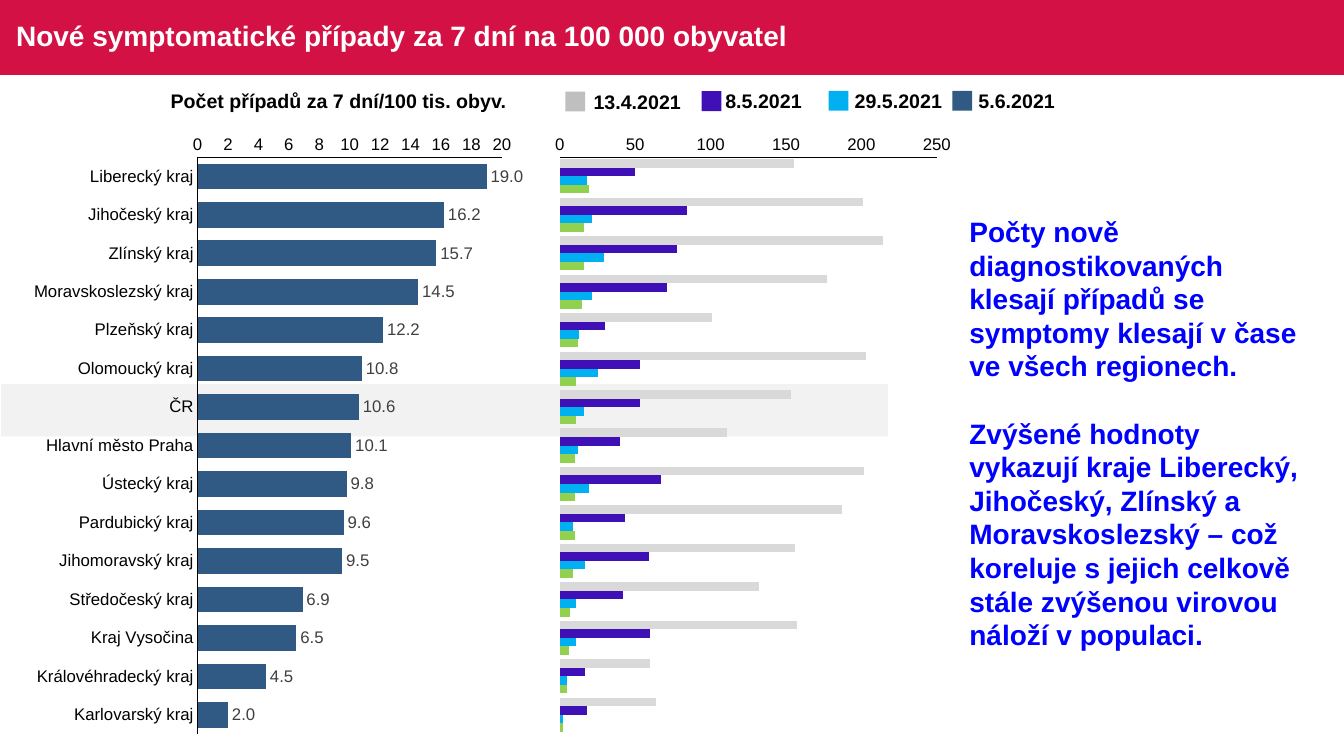
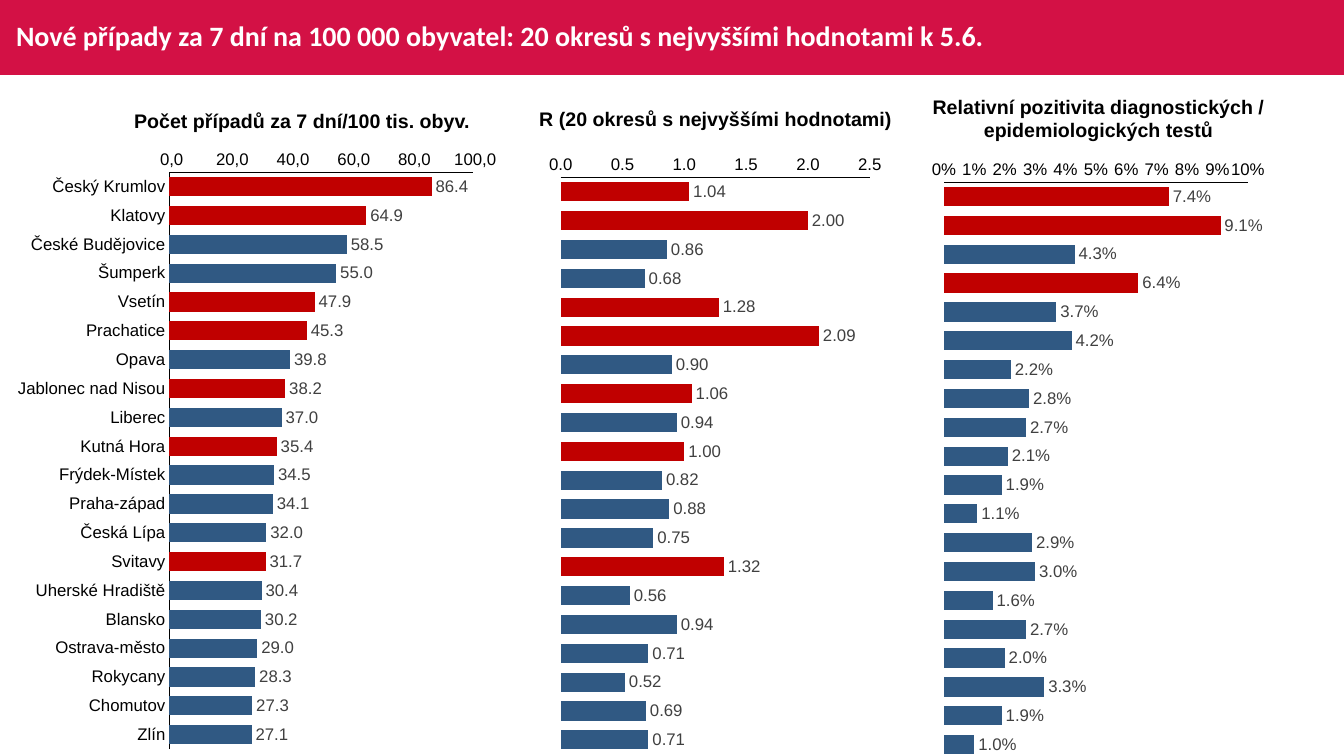
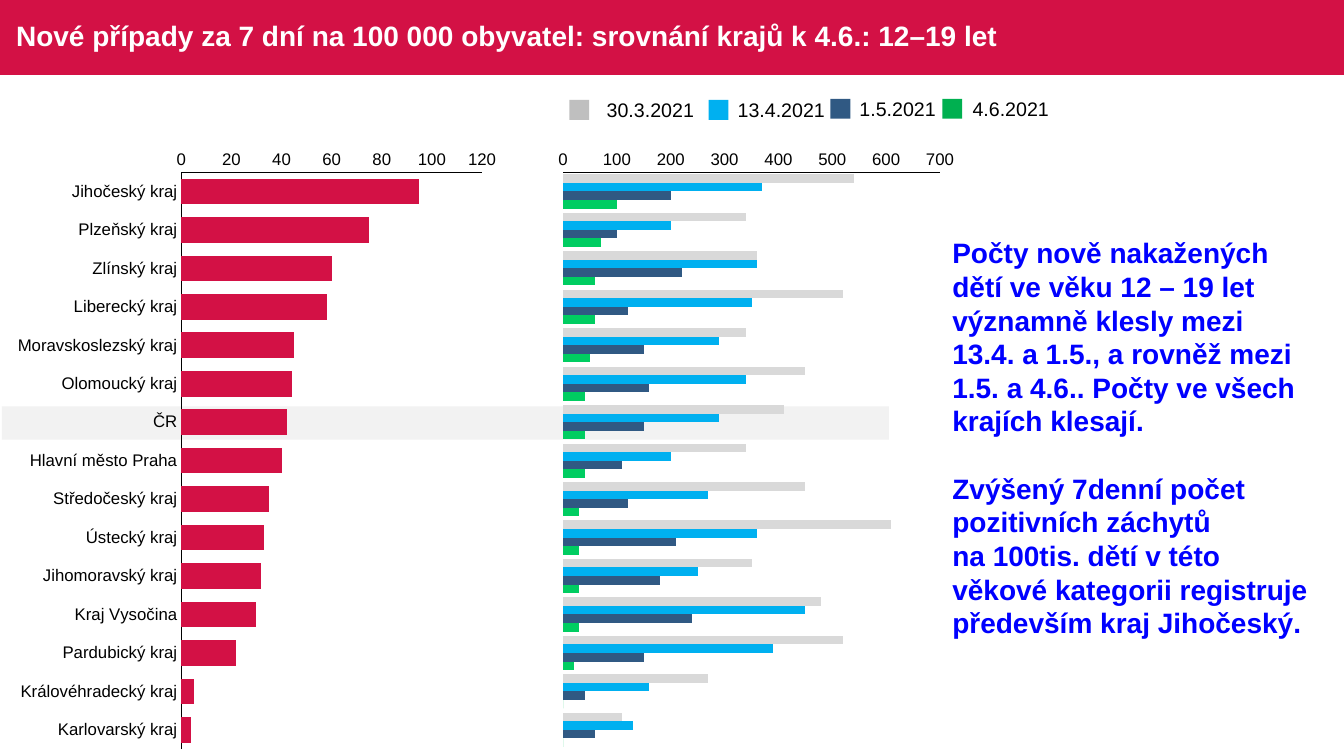
from lxml import etree
from pptx import Presentation
from pptx.chart.data import CategoryChartData
from pptx.dml.color import RGBColor
from pptx.enum.chart import XL_CHART_TYPE, XL_LABEL_POSITION, XL_TICK_MARK
from pptx.enum.shapes import MSO_SHAPE, PP_PLACEHOLDER
from pptx.enum.text import MSO_ANCHOR, MSO_AUTO_SIZE, PP_ALIGN
from pptx.oxml import parse_xml
from pptx.oxml.ns import nsdecls, qn
from pptx.util import Cm, Pt

BAR_CLUSTERED = XL_CHART_TYPE.BAR_CLUSTERED
OUTSIDE_END = XL_LABEL_POSITION.OUTSIDE_END
NO_TICK = XL_TICK_MARK.NONE
RECTANGLE = MSO_SHAPE.RECTANGLE
TITLE = PP_PLACEHOLDER.TITLE
MIDDLE = MSO_ANCHOR.MIDDLE
LEFT, CENTER = PP_ALIGN.LEFT, PP_ALIGN.CENTER
NO_AUTOFIT, GROW = MSO_AUTO_SIZE.NONE, MSO_AUTO_SIZE.SHAPE_TO_FIT_TEXT

# Shared look
CRIMSON, NAVY, RED, SKY, VIOLET = "D31145", "305983", "C00000", "00B0F0", "4010B7"
LIGHT_GREY, GREY, PALE, DARK_GREY = "D9D9D9", "BFBFBF", "F2F2F2", "404040"
LIME, GREEN, BRIGHT_GREEN = "92D050", "00B050", "00CD61"
BLUE, BLACK, WHITE = "0000FF", "000000", "FFFFFF"
FONT = "Arial"
BAND_HEIGHT = 1.89
CHART_HEIGHT, PLOT_TOP, PLOT_HEIGHT = 15.72, 0.86, 14.54
SWATCH = 0.5

# Data
SYMPTOMATIC_REGIONS = [
    "Liberecký kraj", "Jihočeský kraj", "Zlínský kraj", "Moravskoslezský kraj",
    "Plzeňský kraj", "Olomoucký kraj", "ČR", "Hlavní město Praha", "Ústecký kraj",
    "Pardubický kraj", "Jihomoravský kraj", "Středočeský kraj", "Kraj Vysočina",
    "Královéhradecký kraj", "Karlovarský kraj"]
SYMPTOMATIC_CURRENT = [19, 16.2, 15.7, 14.5, 12.2, 10.8, 10.6, 10.1, 9.8, 9.6,
                       9.5, 6.9, 6.5, 4.5, 2]
SYMPTOMATIC_HISTORY = [
    (LIGHT_GREY, [155, 201, 214, 177, 101, 203, 153, 111, 202, 187, 156, 132, 157, 60, 64]),
    (VIOLET, [50, 84, 78, 71, 30, 53, 53, 40, 67, 43, 59, 42, 60, 17, 18]),
    (SKY, [18, 21, 29, 21, 13, 25, 16, 12, 19, 9, 17, 11, 11, 5, 2]),
    (LIME, [19, 16, 16, 15, 12, 11, 11, 10, 10, 10, 9, 7, 6, 5, 2])]

DISTRICTS = [
    "Český Krumlov", "Klatovy", "České Budějovice", "Šumperk", "Vsetín", "Prachatice",
    "Opava", "Jablonec nad Nisou", "Liberec", "Kutná Hora", "Frýdek-Místek",
    "Praha-západ", "Česká Lípa", "Svitavy", "Uherské Hradiště", "Blansko",
    "Ostrava-město", "Rokycany", "Chomutov", "Zlín"]
DISTRICT_CASES = [86.4, 64.9, 58.5, 55, 47.9, 45.3, 39.8, 38.2, 37, 35.4,
                  34.5, 34.1, 32, 31.7, 30.4, 30.2, 29, 28.3, 27.3, 27.1]
DISTRICT_R = [1.04, 2, 0.86, 0.68, 1.28, 2.09, 0.9, 1.06, 0.94, 1,
              0.82, 0.88, 0.75, 1.32, 0.56, 0.94, 0.71, 0.52, 0.69, 0.71]
DISTRICT_POSITIVITY = [0.074, 0.091, 0.043, 0.064, 0.037, 0.042, 0.022, 0.028, 0.027, 0.021,
                       0.019, 0.011, 0.029, 0.03, 0.016, 0.027, 0.02, 0.033, 0.019, 0.01]
RISING_DISTRICTS = [index for index, r in enumerate(DISTRICT_R) if r >= 1]
HIGH_POSITIVITY = [index for index, share in enumerate(DISTRICT_POSITIVITY) if share > 0.05]

TEEN_REGIONS = [
    "Jihočeský kraj", "Plzeňský kraj", "Zlínský kraj", "Liberecký kraj",
    "Moravskoslezský kraj", "Olomoucký kraj", "ČR", "Hlavní město Praha",
    "Středočeský kraj", "Ústecký kraj", "Jihomoravský kraj", "Kraj Vysočina",
    "Pardubický kraj", "Královéhradecký kraj", "Karlovarský kraj"]
TEEN_CURRENT = [95, 75, 60, 58, 45, 44, 42, 40, 35, 33, 32, 30, 22, 5, 4]
TEEN_HISTORY = [
    (LIGHT_GREY, [540, 340, 360, 520, 340, 450, 410, 340, 450, 610, 350, 480, 520, 270, 110]),
    (SKY, [370, 200, 360, 350, 290, 340, 290, 200, 270, 360, 250, 450, 390, 160, 130]),
    (NAVY, [200, 100, 220, 120, 150, 160, 150, 110, 120, 210, 180, 240, 150, 40, 60]),
    (BRIGHT_GREEN, [100, 70, 60, 60, 50, 40, 40, 40, 30, 30, 30, 30, 20, 0, 0])]


def colour(hex_value):
    return RGBColor.from_string(hex_value)


def style_font(font, size, hex_value, bold=False, name=FONT):
    font.size, font.bold, font.name = Pt(size), bold, name
    font.color.rgb = colour(hex_value)


def add_rectangle(slide, left, top, width, height, fill):
    shape = slide.shapes.add_shape(RECTANGLE, Cm(left), Cm(top), Cm(width), Cm(height))
    shape.shadow.inherit = False
    shape.fill.solid()
    shape.fill.fore_color.rgb = colour(fill)
    shape.line.fill.background()
    return shape


def add_text(slide, left, top, width, height, paragraphs, size=14, hex_value=BLACK,
             bold=True, align=LEFT, wrap=False):
    """Text box; a newline inside a paragraph becomes a line break."""
    box = slide.shapes.add_textbox(Cm(left), Cm(top), Cm(width), Cm(height))
    frame = box.text_frame
    frame.word_wrap = wrap
    frame.auto_size = GROW
    for number, text in enumerate(paragraphs):
        paragraph = frame.add_paragraph() if number else frame.paragraphs[0]
        paragraph.alignment = align
        if number:
            paragraph.space_before = Pt(24)
        for line_number, line in enumerate(text.split("\n")):
            if line_number:
                paragraph.add_line_break()
            run = paragraph.add_run()
            run.text = line
            style_font(run.font, size, hex_value, bold)


def add_heading(slide, left, top, width, text, height=0.86, wrap=False):
    add_text(slide, left, top, width, height, [text], align=CENTER, wrap=wrap)


def add_comment(slide, left, top, width, height, paragraphs):
    add_text(slide, left, top, width, height, paragraphs, 20, BLUE, wrap=True)


def add_legend(slide, entries, bold):
    """Entries: swatch left, label left, top of the label, date, colour."""
    for swatch_left, label_left, top, date, fill in entries:
        add_rectangle(slide, swatch_left, top + 0.18, SWATCH, SWATCH, fill)
        label_width = 0.28 * len(date) + 0.24
        add_text(slide, label_left, top, label_width, 0.86, [date], bold=bold)


# Charts
def set_plot_area(chart, x, y, width, height):
    """Fix the inner plot area, as fractions of the chart."""
    plot_area = chart.element.find(".//" + qn("c:plotArea"))
    for layout in plot_area.findall(qn("c:layout")):
        plot_area.remove(layout)
    layout = etree.Element(qn("c:layout"))
    manual = etree.SubElement(layout, qn("c:manualLayout"))
    for tag, value in (("layoutTarget", "inner"), ("xMode", "edge"), ("yMode", "edge"),
                       ("x", x), ("y", y), ("w", width), ("h", height)):
        etree.SubElement(manual, qn("c:" + tag)).set("val", str(value))
    plot_area.insert(0, layout)


def clear_background(chart):
    chart.element.find(qn("c:chart")).addnext(parse_xml(
        f"<c:spPr {nsdecls('c', 'a')}><a:noFill/><a:ln><a:noFill/></a:ln></c:spPr>"))


def style_axis(axis):
    axis.has_major_gridlines = False
    axis.major_tick_mark = axis.minor_tick_mark = NO_TICK
    axis.format.line.color.rgb = colour(BLACK)
    axis.format.line.width = Pt(0.75)
    style_font(axis.tick_labels.font, 12, BLACK)


def add_bar_chart(slide, left, top, width, plot_left, plot_right, series, maximum, step,
                  categories=None, axis_format="General", label_format=None, highlighted=()):
    """Bars from top to bottom; without categories their axis is hidden."""
    data = CategoryChartData()
    data.categories = categories or [str(n + 1) for n in range(len(series[0][1]))]
    for number, (_, values) in enumerate(series, 1):
        data.add_series(f"Series {number}", values)
    chart = slide.shapes.add_chart(BAR_CLUSTERED, Cm(left), Cm(top), Cm(width),
                                   Cm(CHART_HEIGHT), data).chart
    chart.has_title = chart.has_legend = False
    style_font(chart.font, 10, BLACK)
    clear_background(chart)
    set_plot_area(chart, (plot_left - left) / width, PLOT_TOP / CHART_HEIGHT,
                  (plot_right - plot_left) / width, PLOT_HEIGHT / CHART_HEIGHT)

    style_axis(chart.category_axis)
    chart.category_axis.reverse_order = True
    chart.category_axis.visible = categories is not None
    value_axis = chart.value_axis
    style_axis(value_axis)
    value_axis.minimum_scale, value_axis.maximum_scale = 0, maximum
    value_axis.major_unit = step
    value_axis.tick_labels.number_format = axis_format
    value_axis.tick_labels.number_format_is_linked = False

    plot = chart.plots[0]
    plot.gap_width = 50
    plot.vary_by_categories = False
    for bars, (fill, _) in zip(plot.series, series):
        bars.invert_if_negative = False
        bars.format.fill.solid()
        bars.format.fill.fore_color.rgb = colour(fill)
        for index in highlighted:
            point_fill = bars.points[index].format.fill
            point_fill.solid()
            point_fill.fore_color.rgb = colour(RED)
        if label_format:
            labels = bars.data_labels
            labels.show_value = True
            labels.number_format = label_format
            labels.number_format_is_linked = False
            labels.position = OUTSIDE_END
            style_font(labels.font, 12, DARK_GREY)


# Template and slides
def prepare_layout(presentation):
    """Put the title position on the Title Only layout and drop its footers."""
    layout = presentation.slide_layouts[5]
    for placeholder in list(layout.placeholders):
        if placeholder.placeholder_format.type == TITLE:
            placeholder.left, placeholder.top = Cm(0.15), Cm(0)
            placeholder.width, placeholder.height = Cm(30.51), Cm(BAND_HEIGHT)
        else:
            layout.shapes.element.remove(placeholder.element)
    return layout


def move_band_to_layout(slide, layout):
    band = add_rectangle(slide, 0, 0, 33.87, BAND_HEIGHT, CRIMSON)
    band.element.nvSpPr.cNvPr.set("id", "20")
    layout.shapes.element.insert(2, band.element)


def add_slide(presentation, layout, title, font_name=FONT):
    slide = presentation.slides.add_slide(layout)
    frame = slide.shapes.title.text_frame
    frame.vertical_anchor = MIDDLE
    frame.auto_size = NO_AUTOFIT
    frame.word_wrap = True
    paragraph = frame.paragraphs[0]
    paragraph.alignment = LEFT
    paragraph.line_spacing = 0.9
    run = paragraph.add_run()
    run.text = title
    style_font(run.font, 20, WHITE, True, font_name)
    return slide


def build_symptomatic(presentation, layout):
    slide = add_slide(presentation, layout,
                      "Nové symptomatické případy za 7 dní na 100 000 obyvatel")
    move_band_to_layout(slide, layout)
    add_rectangle(slide, 0.03, 9.68, 22.35, 1.32, PALE)
    add_bar_chart(slide, 13.79, 3.1, 10.39, 14.11, 23.61, SYMPTOMATIC_HISTORY, 250, 50)
    add_bar_chart(slide, 0.64, 3.1, 12.55, 4.98, 12.65, [(NAVY, SYMPTOMATIC_CURRENT)], 20, 2,
                  SYMPTOMATIC_REGIONS, "#,##0", "#,##0.0")
    add_comment(slide, 24.18, 5.28, 9.12, 11.38, [
        "Počty nově diagnostikovaných klesají případů se symptomy klesají v čase "
        "ve všech regionech.",
        "Zvýšené hodnoty vykazují kraje Liberecký, Jihočeský, Zlínský a Moravskoslezský "
        "– což koreluje s jejich celkově stále zvýšenou virovou náloží v populaci."])
    add_heading(slide, 4.04, 2.12, 8.99, "Počet případů za 7 dní/100 tis. obyv.")
    add_legend(slide, [(14.25, 14.71, 2.13, "13.4.2021", GREY),
                       (17.68, 18.03, 2.12, "8.5.2021", VIOLET),
                       (20.88, 21.29, 2.11, "29.5.2021", SKY),
                       (24.0, 24.41, 2.11, "5.6.2021", NAVY)], bold=True)


def build_districts(presentation, layout):
    slide = add_slide(presentation, layout, "Nové případy za 7 dní na 100 000 obyvatel: "
                      "20 okresů s nejvyššími hodnotami k 5.6.", "Calibri")
    add_bar_chart(slide, 0.2, 3.48, 12.55, 4.27, 11.92, [(NAVY, DISTRICT_CASES)], 100, 20,
                  DISTRICTS, r"[$-10405]#\ ##0.0;\(#\ ##0.0\)", "#,##0.0", RISING_DISTRICTS)
    add_bar_chart(slide, 13.67, 3.61, 8.74, 14.13, 21.92, [(NAVY, DISTRICT_R)], 2.5, 0.5,
                  axis_format="#,##0.0", label_format="#,##0.00",
                  highlighted=RISING_DISTRICTS)
    add_bar_chart(slide, 23.32, 3.73, 8.74, 23.79, 31.45, [(NAVY, DISTRICT_POSITIVITY)],
                  0.1, 0.01, axis_format="0%", label_format="0.0%",
                  highlighted=HIGH_POSITIVITY)
    add_heading(slide, 3.12, 2.62, 8.99, "Počet případů za 7 dní/100 tis. obyv.")
    add_heading(slide, 13.26, 2.57, 9.55, "R (20 okresů s nejvyššími hodnotami)")
    add_heading(slide, 22.91, 2.26, 9.55,
                "Relativní pozitivita diagnostických / epidemiologických testů", 1.45, True)


def build_teenagers(presentation, layout):
    slide = add_slide(presentation, layout, "Nové případy za 7 dní na 100 000 obyvatel: "
                      "srovnání krajů k 4.6.: 12–19 let")
    add_rectangle(slide, 0.05, 10.24, 22.35, 0.84, PALE)
    add_bar_chart(slide, 0.2, 3.48, 12.55, 4.57, 12.15, [(CRIMSON, TEEN_CURRENT)], 120, 20,
                  TEEN_REGIONS)
    add_bar_chart(slide, 13.87, 3.48, 10.39, 14.19, 23.69, TEEN_HISTORY, 700, 100)
    add_comment(slide, 23.75, 5.82, 9.53, 10.52, [
        "Počty nově nakažených dětí ve věku 12 – 19 let významně klesly mezi 13.4. a 1.5., "
        "a rovněž mezi 1.5. a 4.6.. Počty ve všech krajích klesají.",
        "Zvýšený 7denní počet pozitivních záchytů \nna 100tis. dětí v této věkové kategorii "
        "registruje především kraj Jihočeský."])
    add_legend(slide, [(14.35, 15.04, 2.34, "30.3.2021", GREY),
                       (17.86, 18.34, 2.34, "13.4.2021", SKY),
                       (20.93, 21.41, 2.31, "1.5.2021", NAVY),
                       (23.75, 24.26, 2.31, "4.6.2021", GREEN)], bold=False)


def main():
    presentation = Presentation()
    presentation.slide_width, presentation.slide_height = Cm(33.87), Cm(19.05)
    layout = prepare_layout(presentation)
    build_symptomatic(presentation, layout)
    build_districts(presentation, layout)
    build_teenagers(presentation, layout)
    presentation.save("out.pptx")


if __name__ == "__main__":
    main()
